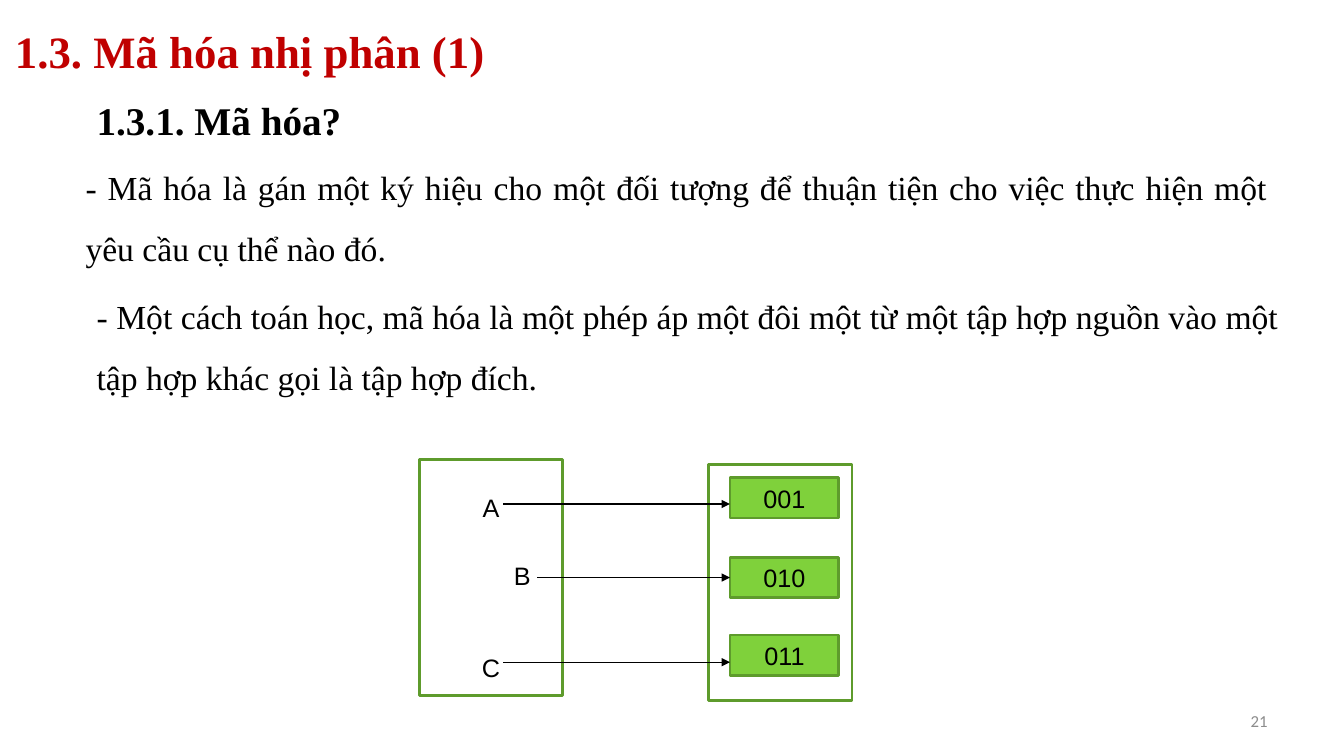
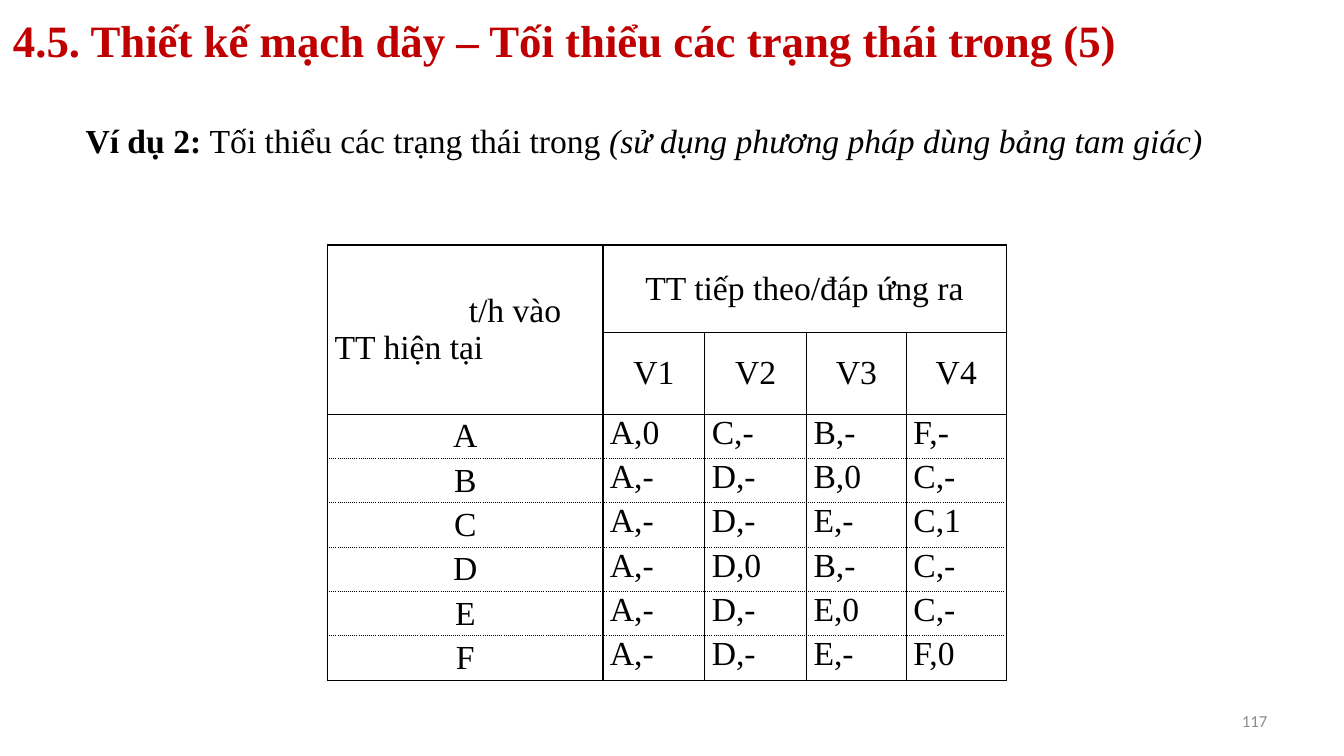
"""Build two lecture slides: binary coding and state minimisation."""
from dataclasses import dataclass
from typing import NamedTuple

from lxml.etree import SubElement
from pptx import Presentation
from pptx.dml.color import RGBColor
from pptx.enum.shapes import MSO_CONNECTOR as Connector, MSO_SHAPE as Preset
from pptx.enum.text import MSO_ANCHOR as Anchor, PP_ALIGN as Align
from pptx.oxml.ns import qn
from pptx.util import Inches, Pt


@dataclass(frozen=True)
class Theme:
    """Colours, fonts and type sizes."""
    red: str = "C00000"
    ink: str = "000000"
    grey: str = "8C8C8C"
    green: str = "7FD13B"
    outline: str = "5E9B2C"
    serif: str = "Times New Roman"
    sans: str = "Arial"
    number_font: str = "Calibri"
    title: int = 32
    heading: int = 28
    body: int = 24
    label: int = 18
    number: int = 12


THEME = Theme()


class Box(NamedTuple):
    """Left, top, width and height in inches."""
    left: float
    top: float
    width: float
    height: float

    def lengths(self):
        """Return the four values as lengths."""
        return [Inches(value) for value in self]


class Run(NamedTuple):
    """A stretch of text with one emphasis."""
    text: str
    bold: bool = False
    italic: bool = False


class Mapping(NamedTuple):
    """A source symbol, its centre, its arrow and its code."""
    symbol: str
    x: float
    y: float
    arrow_x: float
    arrow_y: float
    code: str
    code_top: float


MAPPINGS = [
    Mapping("A", 4.87, 5.03, 4.99, 5.0, "001", 4.74),
    Mapping("B", 5.18, 5.71, 5.33, 5.73, "010", 5.53),
    Mapping("C", 4.87, 6.62, 4.99, 6.57, "011", 6.3),
]
TRANSITIONS = {
    "A": ["A,0", "C,-", "B,-", "F,-"],
    "B": ["A,-", "D,-", "B,0", "C,-"],
    "C": ["A,-", "D,-", "E,-", "C,1"],
    "D": ["A,-", "D,0", "B,-", "C,-"],
    "E": ["A,-", "D,-", "E,0", "C,-"],
    "F": ["A,-", "D,-", "E,-", "F,0"],
}


def write(paragraph, content, *, size=THEME.body, font=THEME.serif, color=THEME.ink,
          bold=False, align=Align.LEFT, line_spacing=None, indent=0.0):
    """Fill a paragraph with a string or with runs."""
    paragraph.alignment = align
    if line_spacing:
        paragraph.line_spacing = line_spacing
    if indent:
        paragraph._p.get_or_add_pPr().set("marL", str(Inches(indent)))
    runs = [Run(content, bold)] if isinstance(content, str) else content
    for part in runs:
        run = paragraph.add_run()
        run.text = part.text
        run.font.name = font
        run.font.size = Pt(size)
        run.font.bold = part.bold
        run.font.italic = part.italic
        run.font.color.rgb = RGBColor.from_string(color)


def add_text(slide, box: Box, content, *, anchor=Anchor.TOP, **style):
    """Place a wrapped text box."""
    frame = slide.shapes.add_textbox(*box.lengths()).text_frame
    frame.word_wrap = True
    frame.vertical_anchor = anchor
    write(frame.paragraphs[0], content, **style)


def add_rectangle(slide, box: Box, fill=None, label=""):
    """Draw a green-edged rectangle, optionally filled and labelled."""
    rectangle = slide.shapes.add_shape(Preset.RECTANGLE, *box.lengths())
    rectangle.shadow.inherit = False
    rectangle.line.color.rgb = RGBColor.from_string(THEME.outline)
    rectangle.line.width = Pt(2)
    if fill:
        rectangle.fill.solid()
        rectangle.fill.fore_color.rgb = RGBColor.from_string(fill)
    else:
        rectangle.fill.background()
    if label:
        rectangle.text_frame.vertical_anchor = Anchor.MIDDLE
        write(rectangle.text_frame.paragraphs[0], label, size=THEME.label,
              font=THEME.sans, align=Align.CENTER)
    return rectangle


def add_arrow(slide, start: float, end: float, y: float):
    """Draw a thin horizontal arrow."""
    arrow = slide.shapes.add_connector(
        Connector.STRAIGHT, Inches(start), Inches(y), Inches(end), Inches(y))
    arrow.line.color.rgb = RGBColor.from_string(THEME.ink)
    arrow.line.width = Pt(0.75)
    SubElement(arrow.line._get_or_add_ln(), qn("a:tailEnd"), type="triangle")
    SubElement(arrow._element.spPr, qn("a:effectLst"))
    return arrow


def add_frame(deck, title: str, title_box: Box, number: int):
    """Start a slide with its title and number."""
    slide = deck.slides.add_slide(deck.slide_layouts[6])
    add_text(slide, title_box, title, anchor=Anchor.MIDDLE, size=THEME.title,
             color=THEME.red, bold=True)
    add_text(slide, Box(9.56, 6.95, 3.11, 0.4), str(number), anchor=Anchor.MIDDLE,
             size=THEME.number, font=THEME.number_font, color=THEME.grey, align=Align.RIGHT)
    return slide


def add_mapping_diagram(slide):
    """Draw the source set, the target set and the arrows between them."""
    add_rectangle(slide, Box(4.16, 4.56, 1.42, 2.34))
    add_rectangle(slide, Box(7.03, 4.61, 1.42, 2.34))
    code_left, code_height = 7.24, 0.4
    for item in MAPPINGS:
        add_text(slide, Box(item.x - 0.2, item.y - 0.2, 0.4, 0.4), item.symbol,
                 anchor=Anchor.MIDDLE, size=THEME.label, font=THEME.sans, align=Align.CENTER)
        code = add_rectangle(slide, Box(code_left, item.code_top, 1.08, code_height),
                             THEME.green, item.code)
        arrow = add_arrow(slide, item.arrow_x, code_left, item.arrow_y)
        if abs(item.code_top + code_height / 2 - item.arrow_y) < 0.01:
            arrow.end_connect(code, 1)


def style_cell(cell, anchor, top_dash: str, bottom_dash: str):
    """Set margins, borders and an empty fill."""
    cell.margin_left = cell.margin_right = Inches(0.07)
    cell.margin_top = cell.margin_bottom = 0
    cell.vertical_anchor = anchor
    properties = cell._tc.get_or_add_tcPr()
    edges = {"lnL": "solid", "lnR": "solid", "lnT": top_dash, "lnB": bottom_dash}
    for edge, dash in edges.items():
        line = SubElement(properties, qn(f"a:{edge}"), w=str(Pt(1)))
        SubElement(SubElement(line, qn("a:solidFill")), qn("a:srgbClr"), val=THEME.ink)
        SubElement(line, qn("a:prstDash"), val=dash)
    cell.fill.background()


def add_state_table(slide):
    """Build the table of next states and outputs."""
    widths = [2.73, 1.01, 1.01, 0.99, 0.99]
    heights = [0.87, 0.81] + [0.44] * len(TRANSITIONS)
    box = Box(3.25, 2.43, sum(widths), sum(heights))
    table = slide.shapes.add_table(len(heights), len(widths), *box.lengths()).table
    table.first_row = table.horz_banding = False
    for column, width in zip(table.columns, widths):
        column.width = Inches(width)
    for row, height in zip(table.rows, heights):
        row.height = Inches(height)

    last = len(heights) - 1
    for r in range(len(heights)):
        for c in range(len(widths)):
            style_cell(table.cell(r, c), Anchor.MIDDLE if r < 2 or c == 0 else Anchor.TOP,
                       "dot" if r > 2 else "solid", "dot" if 2 <= r < last else "solid")

    corner, outputs = table.cell(0, 0), table.cell(0, 1)
    corner.merge(table.cell(1, 0))
    outputs.merge(table.cell(0, 4))
    write(corner.text_frame.paragraphs[0], "t/h vào", indent=1.33)
    write(corner.text_frame.add_paragraph(), "TT hiện tại")
    write(outputs.text_frame.paragraphs[0], "TT tiếp theo/đáp ứng ra", align=Align.CENTER)
    for c in range(1, len(widths)):
        write(table.cell(1, c).text_frame.paragraphs[0], f"V{c}", align=Align.CENTER)
    for r, (state, entries) in enumerate(TRANSITIONS.items(), start=2):
        for c, entry in enumerate([state, *entries]):
            write(table.cell(r, c).text_frame.paragraphs[0], entry,
                  align=Align.LEFT if c else Align.CENTER)


def main():
    """Build and save the deck."""
    deck = Presentation()
    deck.slide_width, deck.slide_height = Inches(13.33), Inches(7.5)

    coding = add_frame(deck, "1.3. Mã hóa nhị phân (1)", Box(0.05, 0.24, 9, 0.53), 21)
    add_text(coding, Box(0.86, 0.91, 9, 0.63), "1.3.1. Mã hóa?",
             size=THEME.heading, bold=True)
    definitions = [
        (Box(0.75, 1.41, 11.92, 1.24),
         "- Mã hóa là gán một ký hiệu cho một đối tượng để thuận tiện cho việc "
         "thực hiện một yêu cầu cụ thể nào đó."),
        (Box(0.86, 2.69, 11.92, 1.31),
         "- Một cách toán học, mã hóa là một phép áp một đôi một từ một tập hợp nguồn "
         "vào một tập hợp khác gọi là tập hợp đích."),
    ]
    for box, definition in definitions:
        add_text(coding, box, definition, align=Align.JUSTIFY, line_spacing=1.5)
    add_mapping_diagram(coding)

    minimising = add_frame(deck, "4.5. Thiết kế mạch dãy – Tối thiểu các trạng thái trong (5)",
                           Box(0.03, -0.02, 12.13, 0.83), 117)
    add_text(minimising, Box(0.75, 1.14, 11.74, 0.5),
             [Run("Ví dụ 2: ", bold=True), Run("Tối thiểu các trạng thái trong "),
              Run("(sử dụng phương pháp dùng bảng tam giác)", italic=True)],
             anchor=Anchor.MIDDLE, align=Align.JUSTIFY)
    add_state_table(minimising)
    deck.save("out.pptx")


if __name__ == "__main__":
    main()
